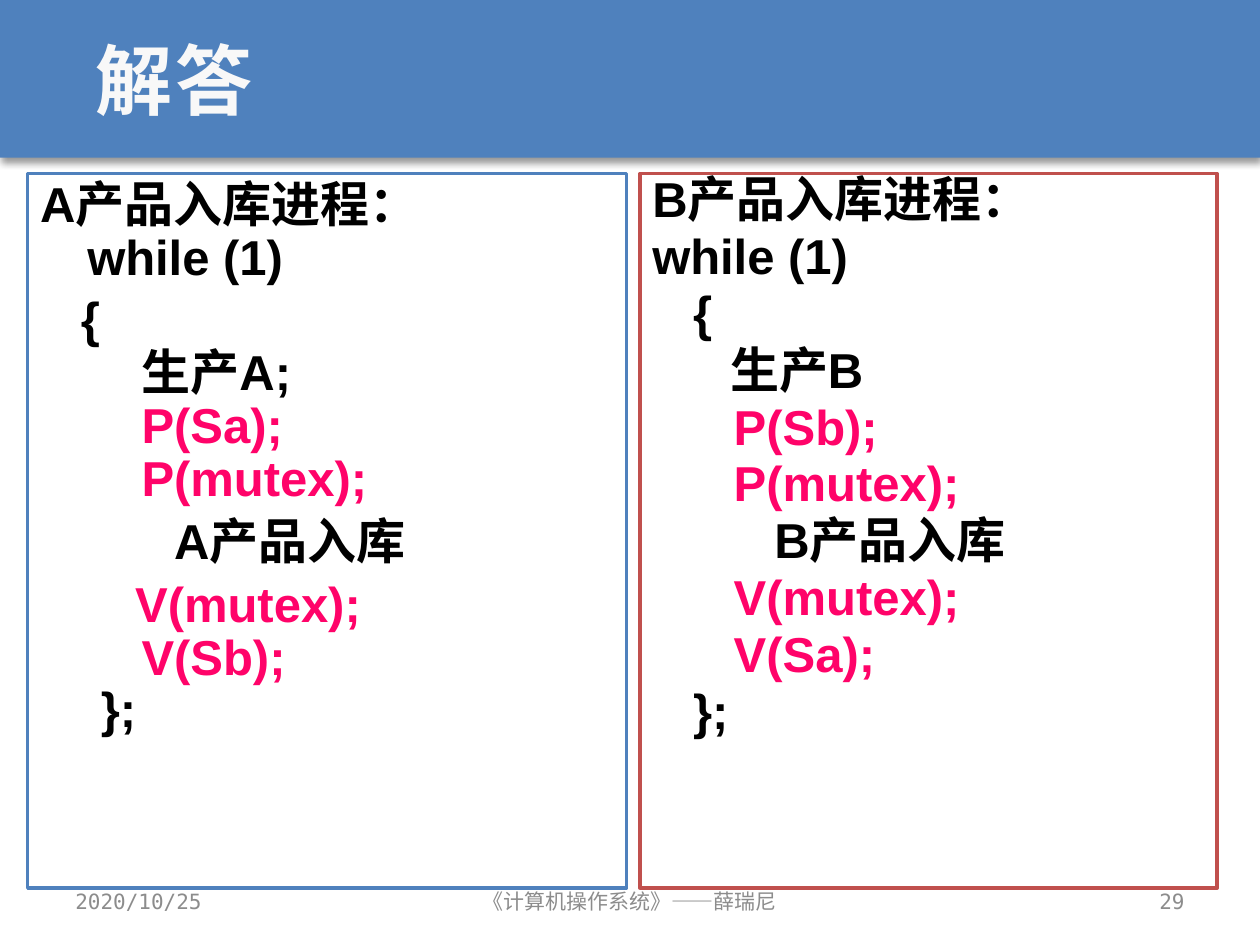
from lxml import etree
from pptx import Presentation
from pptx.dml.color import RGBColor
from pptx.enum.shapes import MSO_SHAPE as Shape
from pptx.enum.text import MSO_ANCHOR as Anchor, PP_ALIGN as Align
from pptx.oxml import parse_xml
from pptx.oxml.ns import nsdecls
from pptx.util import Cm, Pt

BLUE = RGBColor(0x4F, 0x81, 0xBD)
RED = RGBColor(0xC0, 0x50, 0x4D)
WHITE = RGBColor(0xFF, 0xFF, 0xFF)
OFF_WHITE = RGBColor(0xF8, 0xF8, 0xF8)
BLACK = RGBColor(0, 0, 0)
GRAY = RGBColor(0x8C, 0x8C, 0x8C)
PINK = RGBColor(0xFF, 0x03, 0x69)
MONO = "DejaVu Sans Mono"


def write_text(box, text, size=12, font=MONO, color=GRAY, bold=False, accent=None,
               align=Align.LEFT, anchor=Anchor.MIDDLE, line_spacing=None,
               space_before=0, hanging=0, tracking=0):
    """Write paragraphs split by blank lines; semaphore calls take the accent colour."""
    frame = box.text_frame
    frame.word_wrap = True
    frame.vertical_anchor = anchor
    for number, block in enumerate(text.split("\n\n")):
        para = frame.add_paragraph() if number else frame.paragraphs[0]
        para.alignment = align
        if line_spacing:
            para.line_spacing = line_spacing
        if number:
            para.space_before = Pt(space_before)
        if hanging:
            properties = para._p.get_or_add_pPr()
            properties.set("marL", str(Cm(hanging)))
            properties.set("indent", str(-Cm(hanging)))
        for line_number, line in enumerate(block.split("\n")):
            if line_number:
                para.add_line_break()
            span = para.add_run()
            span.text = line
            span.font.size = Pt(size)
            span.font.name = font
            span.font.bold = bold
            is_call = accent and line.strip().startswith(("P(", "V("))
            span.font.color.rgb = accent if is_call else color
            if tracking:
                span.font._element.set("spc", str(tracking))


deck = Presentation()
deck.slide_width, deck.slide_height = Cm(25.4), Cm(19.05)
page = deck.slides.add_slide(deck.slide_layouts[6])

# Title band with a soft shadow below it
band = page.shapes.add_shape(Shape.RECTANGLE, 0, 0, deck.slide_width, Cm(3.18))
band.fill.solid()
band.fill.fore_color.rgb = BLUE
band.line.fill.background()
shadow = parse_xml(
    f'<a:effectLst {nsdecls("a")}>'
    '<a:outerShdw blurRad="50800" dist="38100" dir="5400000" algn="t" rotWithShape="0">'
    '<a:srgbClr val="000000"><a:alpha val="40000"/></a:srgbClr>'
    '</a:outerShdw></a:effectLst>')
band._element.spPr.append(shadow)

title = page.shapes.add_textbox(Cm(1.27), 0, Cm(22.86), Cm(3.18))
title.text_frame.margin_left = Cm(0.66)
write_text(title, "解答", size=44, color=OFF_WHITE, bold=True, tracking=150)

# Footer: date, course, page number
for left, width, text, align in (
        (1.27, 5.93, "2020/10/25", Align.LEFT),
        (7.2, 11, "《计算机操作系统》——薛瑞尼", Align.CENTER),
        (18.2, 5.93, "29", Align.RIGHT)):
    footer = page.shapes.add_textbox(Cm(left), Cm(17.66), Cm(width), Cm(1.01))
    write_text(footer, text, align=align)

# Pseudocode of the two processes; a blank line starts a new paragraph
PROCESS_B = "\n\n".join([
    "B产品入库进程：",
    "while (1)",
    "   {",
    "       生产B",
    "      P(Sb);",
    "      P(mutex);",
    "         B产品入库",
    "      V(mutex);",
    "      V(Sa);",
    "   };",
])
PROCESS_A = "\n\n".join([
    "A产品入库进程：\nwhile (1)",
    "   {\n    生产A;\n    P(Sa);\n    P(mutex);",
    "          A产品入库",
    "       V(mutex);\n    V(Sb);\n };",
])

for left, width, border, code, line_spacing in (
        (12.9, 11.64, RED, PROCESS_B, 0.8),
        (0.56, 12.07, BLUE, PROCESS_A, 0.9)):
    panel = page.shapes.add_shape(Shape.RECTANGLE, Cm(left), Cm(3.5), Cm(width), Cm(14.4))
    panel.shadow.inherit = False
    panel.fill.solid()
    panel.fill.fore_color.rgb = WHITE
    panel.line.color.rgb = border
    panel.line.width = Pt(2)
    write_text(panel, code, size=28, font="Arial", color=BLACK, bold=True, accent=PINK,
               anchor=Anchor.TOP, line_spacing=line_spacing, space_before=5.6, hanging=0.95)

deck.save("out.pptx")
